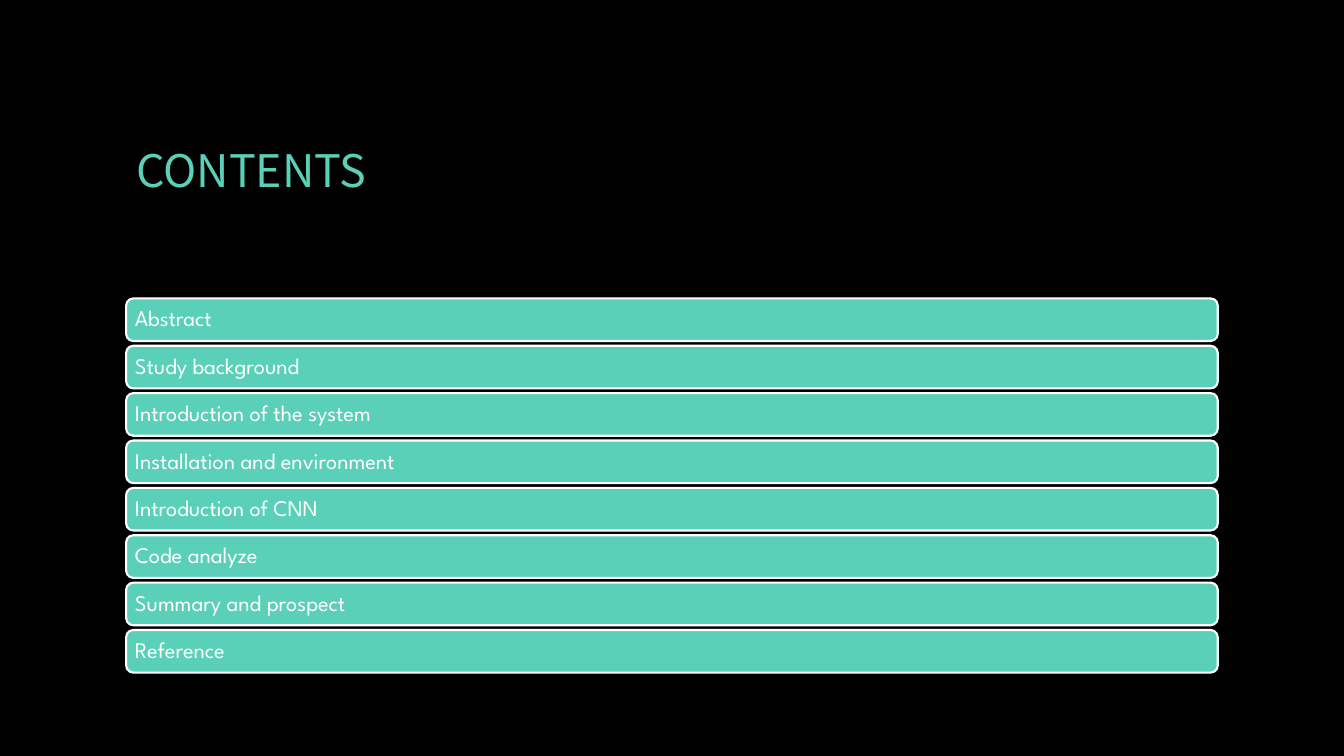
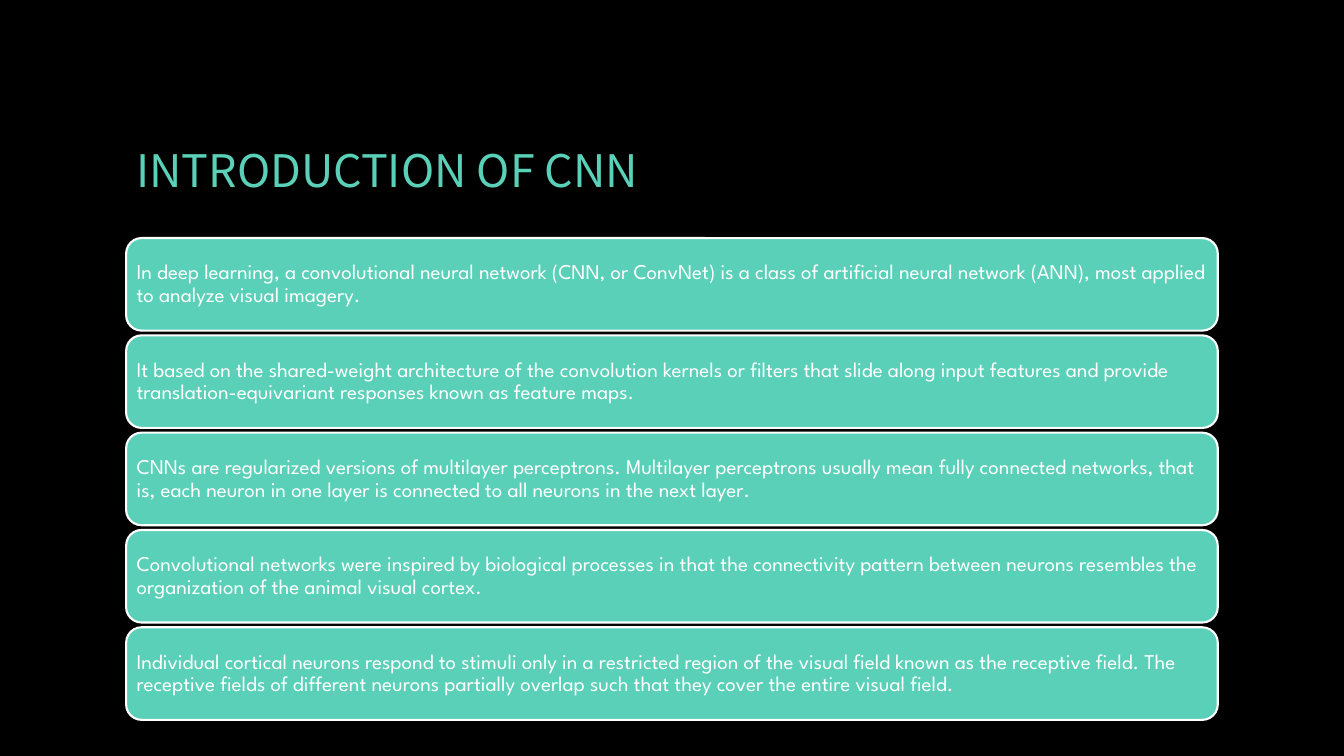
import pptx
import pptx.util
import pptx.dml.color
import pptx.enum.shapes
import pptx.enum.text

Cm, Pt = pptx.util.Cm, pptx.util.Pt
RGB = pptx.dml.color.RGBColor.from_string
ANCHOR = pptx.enum.text.MSO_ANCHOR
ALIGN = pptx.enum.text.PP_ALIGN
ROUNDED = pptx.enum.shapes.MSO_SHAPE.ROUNDED_RECTANGLE

THEME = {
    "background": RGB("000000"),
    "accent": RGB("5AD0B8"),
    "light": RGB("FFFFFF"),
    "title_font": "Noto Sans CJK SC",
    "body_font": "League Spartan",
    "title_size": Pt(32),
    "outline": Pt(1.5),
}
LEFT, WIDTH, GAP = 3.18, 27.51, 0.12

SLIDES = [
    {
        "title": "CONTENTS",
        "top": 7.52, "bottom": 16.95, "inset": 0.17, "size": Pt(16),
        "items": [
            "Abstract",
            "Study background",
            "Introduction of the system",
            "Installation and environment",
            "Introduction of CNN",
            "Code analyze",
            "Summary and prospect",
            "Reference",
        ],
    },
    {
        "title": "INTRODUCTION OF CNN",
        "top": 6.0, "bottom": 18.14, "inset": 0.15, "size": Pt(15),
        "items": [
            "In deep learning, a convolutional neural network (CNN, or ConvNet) is a class of "
            "artificial neural network (ANN), most applied to analyze visual imagery.",
            "It based on the shared-weight architecture of the convolution kernels or filters "
            "that slide along input features and provide translation-equivariant responses "
            "known as feature maps.",
            "CNNs are regularized versions of multilayer perceptrons. Multilayer perceptrons "
            "usually mean fully connected networks, that is, each neuron in one layer is "
            "connected to all neurons in the next layer.",
            "Convolutional networks were inspired by biological processes in that the "
            "connectivity pattern between neurons resembles the organization of the animal "
            "visual cortex.",
            "Individual cortical neurons respond to stimuli only in a restricted region of the "
            "visual field known as the receptive field. The receptive fields of different "
            "neurons partially overlap such that they cover the entire visual field.",
        ],
    },
]


def set_attrs(obj, values):
    for name, value in values.items():
        setattr(obj, name, value)


def write_text(tf, text, font, size, color, spacing):
    set_attrs(tf, {"word_wrap": True, "vertical_anchor": ANCHOR.MIDDLE,
                   "auto_size": pptx.enum.text.MSO_AUTO_SIZE.NONE})
    p = tf.paragraphs[0]
    set_attrs(p, {"alignment": ALIGN.LEFT, "line_spacing": spacing})
    r = p.add_run()
    r.text = text
    set_attrs(r.font, {"name": font, "size": size})
    r.font.color.rgb = color


prs = pptx.Presentation()
set_attrs(prs, {"slide_width": Cm(33.87), "slide_height": Cm(19.05)})

fill = prs.slide_master.background.fill
fill.solid()
fill.fore_color.rgb = THEME["background"]

layout = prs.slide_layouts.get_by_name("Title Only")
set_attrs(layout.placeholders[0], {"left": Cm(LEFT), "top": Cm(1.7),
                                   "width": Cm(WIDTH), "height": Cm(5.28)})

for content in SLIDES:
    s = prs.slides.add_slide(layout)
    write_text(s.shapes.title.text_frame, content["title"], THEME["title_font"],
               THEME["title_size"], THEME["accent"], 0.95)

    count = len(content["items"])
    pitch = (content["bottom"] - content["top"] + GAP) / count
    for i, text in enumerate(content["items"]):
        sp = s.shapes.add_shape(ROUNDED, Cm(LEFT), Cm(content["top"] + i * pitch),
                                Cm(WIDTH), Cm(pitch - GAP))
        sp.shadow.inherit = False
        sp.fill.solid()
        sp.fill.fore_color.rgb = THEME["accent"]
        sp.line.color.rgb = THEME["light"]
        sp.line.width = THEME["outline"]
        tf = sp.text_frame
        sides = ("margin_left", "margin_top", "margin_right", "margin_bottom")
        set_attrs(tf, dict.fromkeys(sides, Cm(content["inset"])))
        write_text(tf, text, THEME["body_font"], content["size"], THEME["light"], 0.9)

prs.save("out.pptx")
